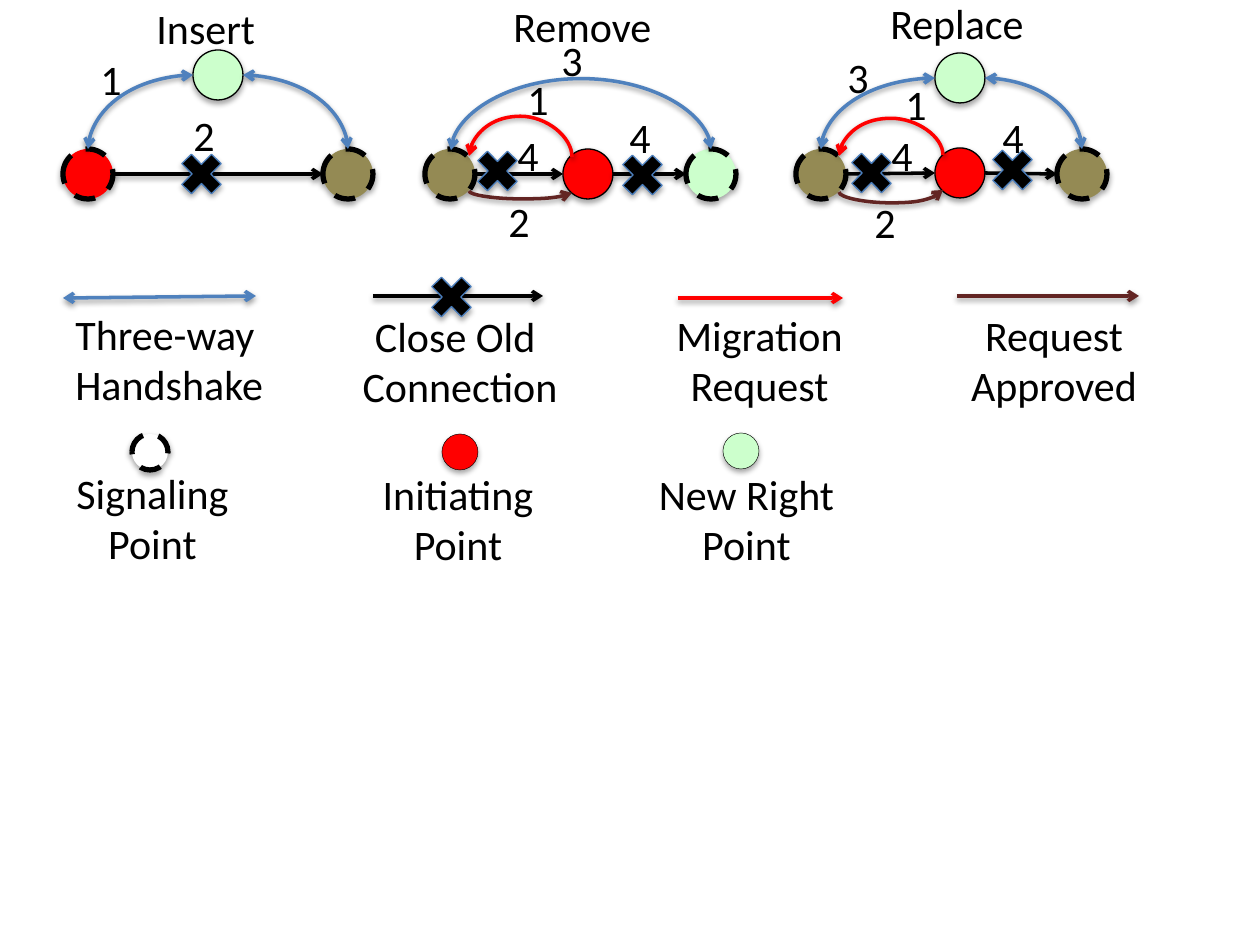
from lxml import etree
from pptx import Presentation
from pptx.dml.color import RGBColor
from pptx.enum.dml import MSO_LINE
from pptx.enum.shapes import MSO_CONNECTOR, MSO_SHAPE
from pptx.enum.text import MSO_AUTO_SIZE, PP_ALIGN
from pptx.oxml.ns import qn
from pptx.util import Emu, Pt

PX = 914400 / 126
STRAIGHT, CURVE = MSO_CONNECTOR.STRAIGHT, MSO_CONNECTOR.CURVE
OVAL, CROSS = MSO_SHAPE.OVAL, MSO_SHAPE.MATH_MULTIPLY
DASH = MSO_LINE.DASH
LEFT, CENTER = PP_ALIGN.LEFT, PP_ALIGN.CENTER
FIT_SHAPE = MSO_AUTO_SIZE.SHAPE_TO_FIT_TEXT

BLACK, WHITE, RED = "000000", "FFFFFF", "FF0000"
OLIVE, MINT, BLUE, BROWN = "948A54", "CCFFCC", "4F81BD", "632523"
CROSS_EDGE = "4B7EBC"
NODE_SIZE, KEY_NODE_SIZE = 50, 36
DIGIT_WIDTH, LINE_HEIGHT, TWO_LINE_HEIGHT = 47, 63, 115

# Centre x, centre y, fill, dashed outline
NODES = [
    (88, 174, RED, True), (348, 174, OLIVE, True), (218, 75, MINT, False),
    (450, 174, OLIVE, True), (711, 174, MINT, True), (588, 174, RED, False),
    (821, 174, OLIVE, True), (1082, 174, OLIVE, True),
    (960, 173, RED, False), (960, 78, MINT, False),
]
# Begin and end of each old connection
CONNECTIONS = [
    (113, 174, 323, 174), (475, 174, 563, 174), (613, 174, 686, 174),
    (846, 174, 935, 173), (985, 173, 1057, 174),
]
# Quarter arcs from the new node down to the signaling nodes
HANDSHAKES = [
    (193, 75, 88, 149), (243, 75, 348, 149),
    (935, 78, 821, 149), (985, 78, 1082, 149),
]
# Begin, end, height of the turning point, colour, arrowheads at both ends
ARCS = [
    (572, 157, 469, 156, 116, RED, False),
    (469, 191, 572, 193, 199, BROWN, False),
    (451, 150, 711, 149, 78, BLUE, True),
    (943, 155, 839, 156, 118, RED, False),
    (839, 192, 943, 190, 203, BROWN, False),
]
CROSSES = [(173, 145), (469, 142), (614, 146), (843, 144), (984, 141), (423, 268)]
TITLES = [("Insert", 144, -4, 155), ("Remove", 501, -6, 166), ("Replace", 878, -9, 161)]
STEPS = [
    ("1", 88, 47), ("2", 181, 103),
    ("1", 515, 67), ("2", 496, 189), ("3", 549, 28), ("4", 505, 123), ("4", 617, 105),
    ("1", 893, 72), ("2", 862, 190), ("3", 835, 45), ("4", 879, 123), ("4", 990, 105),
]
# Begin, end, colour, arrowheads at both ends
KEY_LINES = [
    (63, 298, 256, 296, BLUE, True), (373, 296, 543, 296, BLACK, False),
    (678, 298, 843, 298, RED, False), (957, 296, 1139, 296, BROWN, False),
]
KEY_NODES = [(150, 452, WHITE, True), (460, 452, RED, False), (741, 451, MINT, False)]
# Lines, left, top, width, alignment
KEY_TEXTS = [
    (["Three-way", "Handshake"], 63, 302, 217, LEFT),
    (["Close Old ", "Connection"], 349, 304, 222, CENTER),
    (["Migration", "Request"], 662, 303, 195, CENTER),
    (["Request", "Approved"], 957, 303, 194, CENTER),
    (["Signaling", "Point"], 63, 461, 179, CENTER),
    (["Initiating", "Point"], 369, 462, 178, CENTER),
    (["New Right", "Point"], 645, 462, 203, CENTER),
]


def px(value):
    return Emu(round(value * PX))


def color(hex_string):
    return RGBColor.from_string(hex_string)


# Shapes and connectors keep the soft shadow of the theme
def add_filled(slide, kind, left, top, width, height, fill, edge, edge_width):
    shape = slide.shapes.add_shape(kind, px(left), px(top), px(width), px(height))
    shape.fill.solid()
    shape.fill.fore_color.rgb = color(fill)
    shape.line.color.rgb = color(edge)
    shape.line.width = Pt(edge_width)
    return shape


def add_node(slide, x, y, fill, dashed, size=NODE_SIZE, thin=0.75):
    node = add_filled(slide, OVAL, x - size / 2, y - size / 2, size, size,
                      fill, BLACK, 3 if dashed else thin)
    if dashed:
        node.line.dash_style = DASH


def add_cross(slide, left, top):
    add_filled(slide, CROSS, left, top, 57, 58, BLACK, CROSS_EDGE, 0.75)


def add_arrow(slide, x1, y1, x2, y2, line_color, both_ends=False, kind=STRAIGHT):
    arrow = slide.shapes.add_connector(kind, px(x1), px(y1), px(x2), px(y2))
    arrow.line.color.rgb = color(line_color)
    arrow.line.width = Pt(2)
    line = arrow._element.spPr.find(qn("a:ln"))
    for end in ["headEnd", "tailEnd"] if both_ends else ["tailEnd"]:
        etree.SubElement(line, qn(f"a:{end}"), type="arrow")
    return arrow


def add_quarter_arc(slide, x1, y1, x2, y2):
    arrow = add_arrow(slide, x1, y1, x2, y2, BLUE, True, CURVE)
    arrow._element.spPr.find(qn("a:prstGeom")).set("prst", "curvedConnector2")


def add_arc(slide, x1, y1, x2, y2, turn_y, line_color, both_ends):
    # The curve is laid out sideways, then turned by 270 degrees about its centre
    center_x, center_y = (x1 + x2) / 2, (y1 + y2) / 2
    half_x, half_y = (y1 - y2) / 2, (x2 - x1) / 2
    arrow = add_arrow(slide, center_x - half_x, center_y - half_y,
                      center_x + half_x, center_y + half_y,
                      line_color, both_ends, CURVE)
    properties = arrow._element.spPr
    properties.find(qn("a:xfrm")).set("rot", str(270 * 60000))
    geometry = properties.find(qn("a:prstGeom"))
    adjustments = geometry.find(qn("a:avLst"))
    if adjustments is None:
        adjustments = etree.SubElement(geometry, qn("a:avLst"))
    bend = round((y1 - turn_y) / (y1 - y2) * 100000)
    etree.SubElement(adjustments, qn("a:gd"), name="adj1", fmla=f"val {bend}")


def add_text(slide, lines, left, top, width, height=LINE_HEIGHT, alignment=LEFT):
    box = slide.shapes.add_textbox(px(left), px(top), px(width), px(height))
    frame = box.text_frame
    frame.word_wrap = False
    frame.auto_size = FIT_SHAPE
    frame.text = "\n".join(lines)
    for paragraph in frame.paragraphs:
        paragraph.alignment = alignment
        paragraph.font.name = "Calibri"
        paragraph.font.size = Pt(24)
        paragraph.font.color.rgb = color(BLACK)


def main():
    presentation = Presentation()
    presentation.slide_width, presentation.slide_height = px(1260), px(945)
    slide = presentation.slides.add_slide(presentation.slide_layouts[6])

    # Three diagrams
    for node in NODES:
        add_node(slide, *node)
    for connection in CONNECTIONS:
        add_arrow(slide, *connection, BLACK)
    for handshake in HANDSHAKES:
        add_quarter_arc(slide, *handshake)
    for arc in ARCS:
        add_arc(slide, *arc)

    # Legend lines, and crosses over the closed connections
    for key_line in KEY_LINES:
        add_arrow(slide, *key_line)
    for cross in CROSSES:
        add_cross(slide, *cross)

    # Titles and step numbers
    for title, left, top, width in TITLES:
        add_text(slide, [title], left, top, width)
    for step, left, top in STEPS:
        add_text(slide, [step], left, top, DIGIT_WIDTH)

    # Legend nodes and captions
    for key_node in KEY_NODES:
        add_node(slide, *key_node, size=KEY_NODE_SIZE, thin=0.25)
    for lines, left, top, width, alignment in KEY_TEXTS:
        add_text(slide, lines, left, top, width, TWO_LINE_HEIGHT, alignment)

    presentation.save("out.pptx")


if __name__ == "__main__":
    main()
